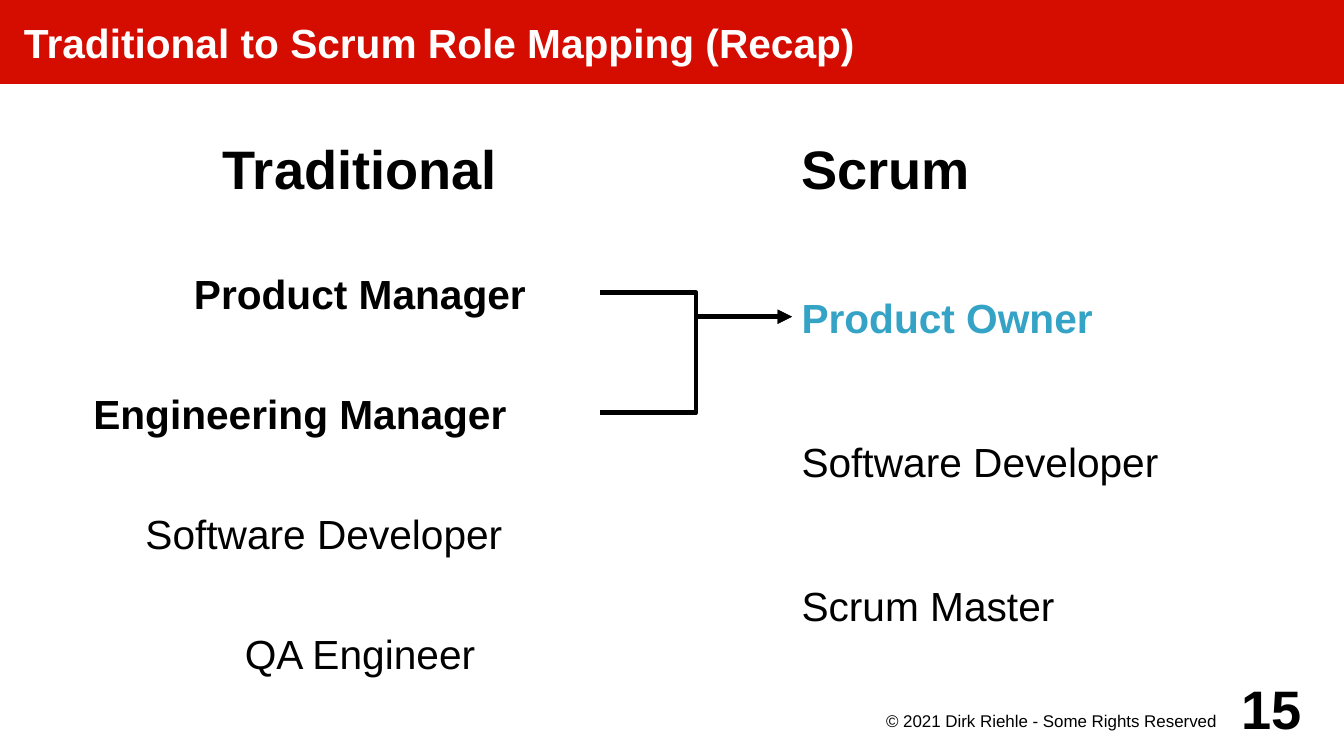
import pptx
import pptx.util
import pptx.dml.color
import pptx.enum.shapes
import pptx.enum.text
import pptx.oxml
from pptx.oxml import ns

Cm, Pt = pptx.util.Cm, pptx.util.Pt
ALIGN = pptx.enum.text.PP_ALIGN
ANCHOR = pptx.enum.text.MSO_ANCHOR

# Content
TITLE = "Traditional to Scrum Role Mapping (Recap)"
COPYRIGHT = "© 2021 Dirk Riehle - Some Rights Reserved"
PAGE = "15"
COLORS = {"red": "D50D01", "white": "FFFFFF", "black": "000000", "blue": "34A3C5"}
# Role, left edge in cm, bold
TRADITIONAL = [
    ("Product Manager", 2.5, True),
    ("Engineering Manager", 0, True),
    ("Software Developer", 1, False),
    ("QA Engineer", 2.5, False),
]
# Role, width in cm, bold, colour
SCRUM = [
    ("Product Owner", 11.5, True, "blue"),
    ("Software Developer", 11, False, "black"),
    ("Scrum Master", 10, False, "black"),
]

# Layout in cm
LEFT_EDGE, RIGHT_EDGE = 12.5, 16.5
HEAD_TOP, HEAD_H = 2, 3
ROLES_TOP = 4.6
OLD_H, OLD_STEP = 3, 2.5
NEW_H, NEW_STEP = 4, 3


def rgb(name):
    return pptx.dml.color.RGBColor.from_string(COLORS[name])


def put_text(text, box, sp=None, size=24, bold=False, color="black",
             align=ALIGN.LEFT, anchor=ANCHOR.MIDDLE, insets=(0.2, 0.2, 0.2, 0.2)):
    """Write formatted text into sp, or into a new text box."""
    x, y, w, h = (Cm(v) for v in box)
    if sp is None:
        sp = s.shapes.add_textbox(x, y, w, h)
    else:
        sp.left, sp.top, sp.width, sp.height = x, y, w, h
    tf = sp.text_frame
    tf.word_wrap = True
    tf.auto_size = pptx.enum.text.MSO_AUTO_SIZE.NONE
    tf.vertical_anchor = anchor
    tf.margin_left, tf.margin_top, tf.margin_right, tf.margin_bottom = (
        Cm(v) for v in insets)
    p = tf.paragraphs[0]
    p.alignment = align
    r = p.add_run()
    r.text = text
    r.font.name = "Arial"
    r.font.size = Pt(size)
    r.font.bold = bold
    r.font.color.rgb = rgb(color)
    return sp


def add_arrow(y_from, y_to):
    """Join a traditional role to a Scrum role with an elbow arrow."""
    c = s.shapes.add_connector(pptx.enum.shapes.MSO_CONNECTOR.ELBOW,
                               Cm(LEFT_EDGE), Cm(y_from), Cm(RIGHT_EDGE), Cm(y_to))
    c.line.color.rgb = rgb("black")
    c.line.width = Pt(2.83)
    c.line._get_or_add_ln().append(pptx.oxml.parse_xml(
        f'<a:tailEnd {ns.nsdecls("a")} type="triangle"/>'))
    c._element.spPr.append(pptx.oxml.parse_xml(f'<a:effectLst {ns.nsdecls("a")}/>'))


prs = pptx.Presentation()
prs.slide_width, prs.slide_height = Cm(28), Cm(15.75)
s = prs.slides.add_slide(prs.slide_layouts[5])

# Title bar
bar = put_text(TITLE, (0, 0, 28, 1.75), sp=s.shapes.title, bold=True,
               color="white", insets=(0.5, 0, 0, 0))
bar.fill.solid()
bar.fill.fore_color.rgb = rgb("red")

# Column heads
put_text("Traditional", (2.5, HEAD_TOP, 10, HEAD_H), size=32, bold=True,
         align=ALIGN.CENTER)
put_text("Scrum", (RIGHT_EDGE, HEAD_TOP, 10, HEAD_H), size=32, bold=True)

# Roles
for i, (role, x, bold) in enumerate(TRADITIONAL):
    put_text(role, (x, ROLES_TOP + i * OLD_STEP, LEFT_EDGE - x, OLD_H),
             bold=bold, align=ALIGN.CENTER)
for i, (role, w, bold, color) in enumerate(SCRUM):
    put_text(role, (RIGHT_EDGE, ROLES_TOP + i * NEW_STEP, w, NEW_H),
             bold=bold, color=color)

# Both managers map to the product owner
for i in range(2):
    add_arrow(ROLES_TOP + i * OLD_STEP + OLD_H / 2, ROLES_TOP + NEW_H / 2)

# Footer
put_text(COPYRIGHT, (18, 14.75, 8, 0.75), size=10, align=ALIGN.CENTER,
         anchor=ANCHOR.TOP, insets=(0, 0.05, 0.2, 0))
put_text(PAGE, (25.5, 14, 2, 1.5), size=32, bold=True, align=ALIGN.CENTER,
         insets=(0, 0, 0, 0))

prs.save("out.pptx")
